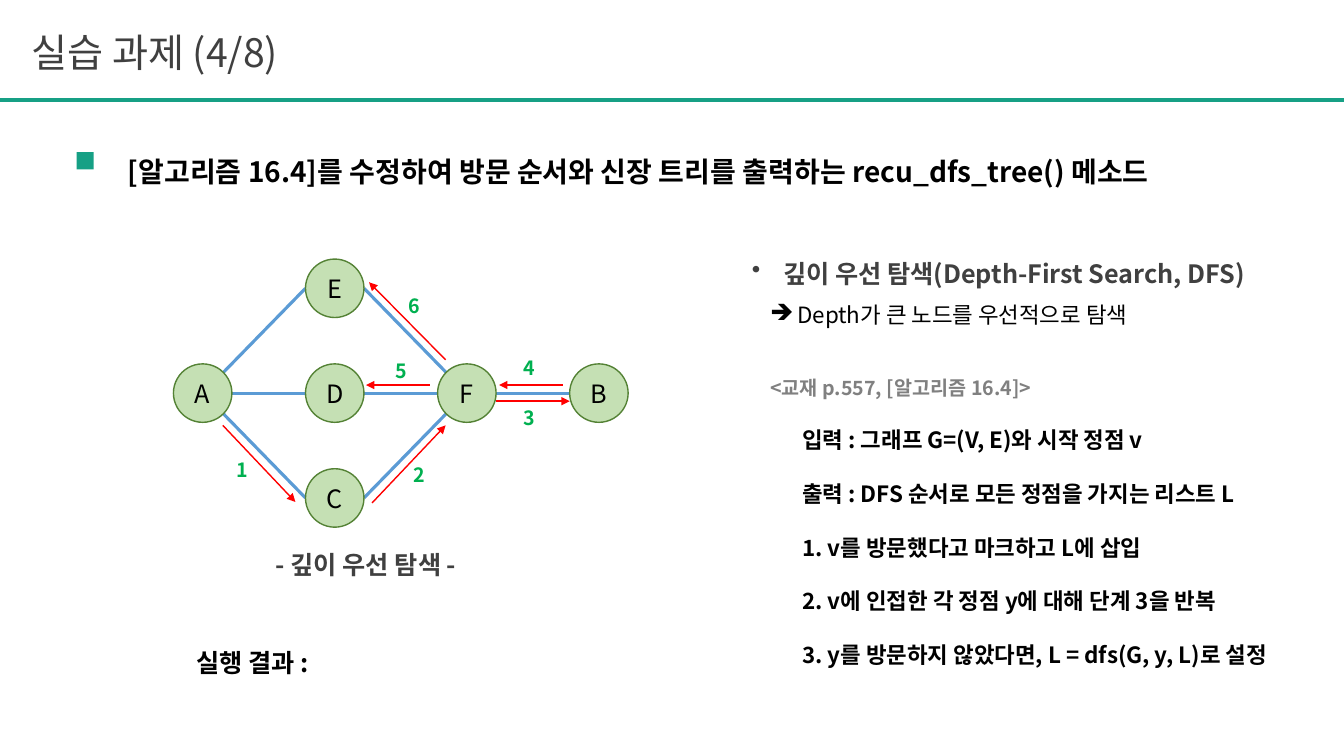
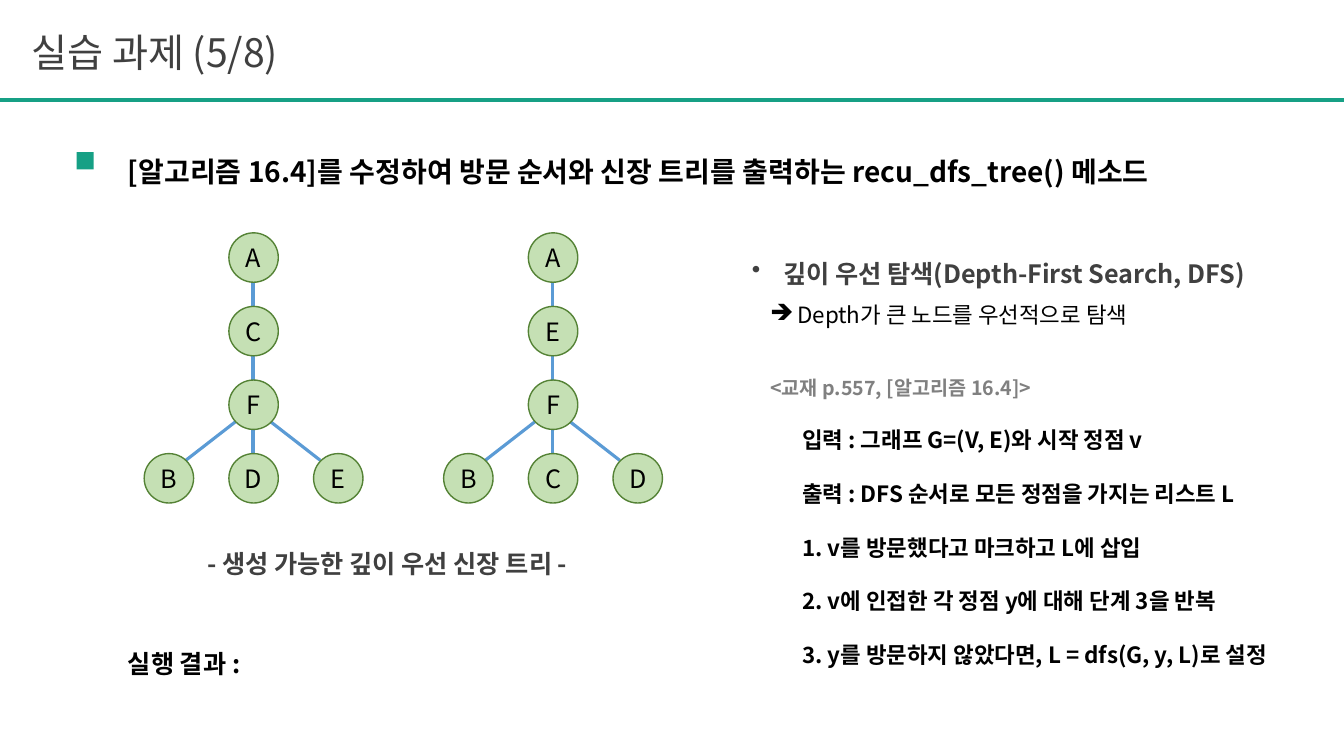
from math import cos, radians, sin

from lxml.etree import SubElement
from pptx import Presentation
from pptx.dml.color import RGBColor
from pptx.enum.shapes import MSO_CONNECTOR, MSO_SHAPE
from pptx.enum.text import MSO_ANCHOR as ANCHOR, PP_ALIGN as ALIGN
from pptx.oxml.ns import qn
from pptx.util import Pt

PX = 9144  # 100 px to the inch
FONT = "Noto Sans CJK KR"
GREEN, BLUE, RED = "16A085", "5B9BD5", "FF0000"
LEAF, STEM, MARK = "C5E0B4", "548235", "00B050"
BLACK, DARK, GRAY = "000000", "404040", "808080"
rgb = RGBColor.from_string


def style(par, size, color, bold=False, align=ALIGN.LEFT):
    """Set the look of one paragraph, for Latin and Korean letters alike."""
    font = par.font
    font.size, font.bold, font.name = Pt(size), bold, FONT
    font.color.rgb = rgb(color)
    SubElement(font._element, qn("a:ea"), typeface=FONT)
    par.alignment = align


def line(slide, ends, color, width, arrow=False):
    ends = [round(v * PX) for v in ends]
    link = slide.shapes.add_connector(MSO_CONNECTOR.STRAIGHT, *ends)
    link.line.color.rgb = rgb(color)
    link.line.width = Pt(width)
    if arrow:
        SubElement(link.line._get_or_add_ln(), qn("a:tailEnd"), type="triangle")
    SubElement(link._element.spPr, qn("a:effectLst"))


# Text, size, colour, bold, line spacing, space before, margin, indent, bullet
notes = [
    ("깊이 우선 탐색(Depth-First Search, DFS)", 18, DARK, True, 2, 0, 31, -31, "•"),
    ("Depth가 큰 노드를 우선적으로 탐색", 16, BLACK, False, 1.5, 0, 45, -27, "➔"),
    ("<교재 p.557, [알고리즘 16.4]>", 14, GRAY, True, 2, 17, 18, 0, None),
]
for step in [
    "입력 : 그래프 G=(V, E)와 시작 정점 v",
    "출력 : DFS 순서로 모든 정점을 가지는 리스트 L",
    "1. v를 방문했다고 마크하고 L에 삽입",
    "2. v에 인접한 각 정점 y에 대해 단계 3을 반복",
    "3. y를 방문하지 않았다면, L = dfs(G, y, L)로 설정",
]:
    notes.append((step, 16, BLACK, True, 2, 0, 50, 0, None))

# Nodes are (letter, centre x, centre y); edges are (node, angle, node, angle),
# with angles in degrees, clockwise from the right.
grid = {"A": (0, 0), "C": (1, 1), "D": (1, 0), "E": (1, -1), "F": (2, 0), "B": (3, 0)}
graph = [(name, 201 + 131 * col, 390 + 104 * row) for name, (col, row) in grid.items()]
links = [
    (0, 45, 1, 180), (0, 0, 2, 180), (0, -45, 3, 180),
    (1, 0, 4, 135), (2, 0, 4, 180), (3, 0, 4, -135), (4, 0, 5, 180),
]
trees, twigs = [], []
for root, names in ((251, "ACFBDE"), (548, "AEFBCD")):
    base = len(trees)
    spots = [(0, 0), (0, 1), (0, 2), (-1, 3), (0, 3), (1, 3)]
    for name, (col, row) in zip(names, spots):
        trees.append((name, root + 84 * col, 255 + 73 * row))
    for top, out, low, into in [
        (0, 90, 1, -90), (1, 90, 2, -90),
        (2, 135, 3, -45), (2, 90, 4, -90), (2, 45, 5, -135),
    ]:
        twigs.append((base + top, out, base + low, into))

# Arrow ends, then the place of the number beside it
moves = [
    ((221, 422, 293, 498), (225, 449)),
    ((369, 499, 442, 422), (400, 454)),
    ((492, 398, 565, 398), (509, 398)),
    ((558, 382, 495, 382), (509, 348)),
    ((426, 382, 363, 382), (382, 351)),
    ((442, 357, 366, 280), (395, 287)),
]

# Page number, nodes, edges, node size, moves, caption, its left and top, result place
pages = [
    (4, graph, links, 58, moves, "- 깊이 우선 탐색 -", 63, 540, (185, 637)),
    (5, trees, twigs, 49, [], "- 생성 가능한 깊이 우선 신장 트리 -", 84, 539, (117, 638)),
]

deck = Presentation()
deck.slide_width, deck.slide_height = 1333 * PX, 750 * PX

for page, nodes, edges, size, walk, label, left, top, result in pages:
    slide = deck.slides.add_slide(deck.slide_layouts[5])
    shapes = slide.shapes
    line(slide, (0, 99, 1333, 99), GREEN, 3)

    title = shapes.title
    title.left, title.top, title.width, title.height = [v * PX for v in (21, 23, 1015, 57)]
    title.text_frame.text = f"실습 과제 ({page}/8)"
    title.text_frame.vertical_anchor = ANCHOR.TOP
    style(title.text_frame.paragraphs[0], 28, DARK)

    mark = shapes.add_shape(MSO_SHAPE.RECTANGLE, *[v * PX for v in (76, 151, 17, 17)])
    mark.shadow.inherit = False
    mark.fill.solid()
    mark.fill.fore_color.rgb = rgb(GREEN)
    mark.line.fill.background()

    head = "[알고리즘 16.4]를 수정하여 방문 순서와 신장 트리를 출력하는 recu_dfs_tree() 메소드"
    texts = [
        ((117, 115, 1190, 67), head, 20, BLACK, ALIGN.JUSTIFY, 2),
        ((left, top, 600, 40), label, 18, DARK, ALIGN.CENTER, 1),
        ((*result, 145, 40), "실행 결과 :", 18, BLACK, ALIGN.LEFT, 1),
    ]
    for count, (ends, spot) in enumerate(walk, 1):
        line(slide, ends, RED, 1, arrow=True)
        texts.append(((*spot, 32, 34), str(count), 14, MARK, ALIGN.LEFT, 1))
    for area, text, points, color, align, gap in texts:
        frame = shapes.add_textbox(*[v * PX for v in area]).text_frame
        frame.word_wrap = True
        par = frame.paragraphs[0]
        par.text = text
        par.line_spacing = gap
        style(par, points, color, True, align)

    frame = shapes.add_textbox(*[v * PX for v in (736, 221, 571, 456)]).text_frame
    frame.word_wrap = True
    for i, (text, points, color, bold, gap, before, margin, indent, sign) in enumerate(notes):
        par = frame.add_paragraph() if i else frame.paragraphs[0]
        par.text = text
        par.line_spacing = gap
        par.space_before = Pt(before)
        props = par._p.get_or_add_pPr()
        props.set("marL", str(margin * PX))
        props.set("indent", str(indent * PX))
        if sign:
            SubElement(props, qn("a:buChar"), char=sign)
        style(par, points, color, bold)

    for start, out, end, into in edges:
        ends = []
        for node, angle in ((start, out), (end, into)):
            name, x, y = nodes[node]
            turn = radians(angle)
            ends += [x + size / 2 * cos(turn), y + size / 2 * sin(turn)]
        line(slide, ends, BLUE, 2.25)

    for name, x, y in nodes:
        area = (x - size // 2, y - size // 2, size, size)
        dot = shapes.add_shape(MSO_SHAPE.OVAL, *[v * PX for v in area])
        dot.shadow.inherit = False
        dot.fill.solid()
        dot.fill.fore_color.rgb = rgb(LEAF)
        dot.line.color.rgb = rgb(STEM)
        dot.line.width = Pt(1)
        frame = dot.text_frame
        frame.margin_left = frame.margin_right = frame.margin_top = frame.margin_bottom = 0
        frame.vertical_anchor = ANCHOR.MIDDLE
        frame.text = name
        style(frame.paragraphs[0], 18, BLACK, align=ALIGN.CENTER)

deck.save("out.pptx")
